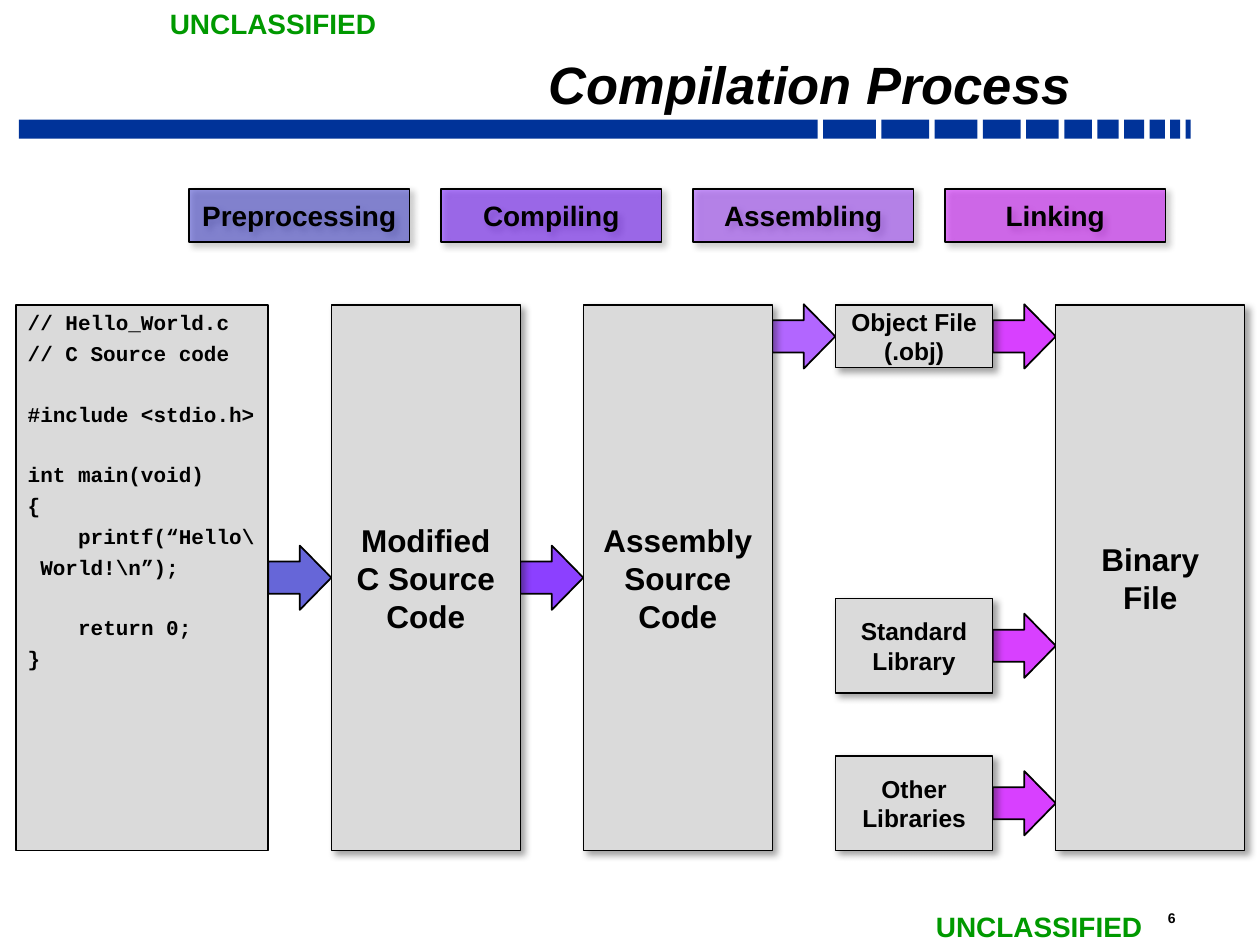
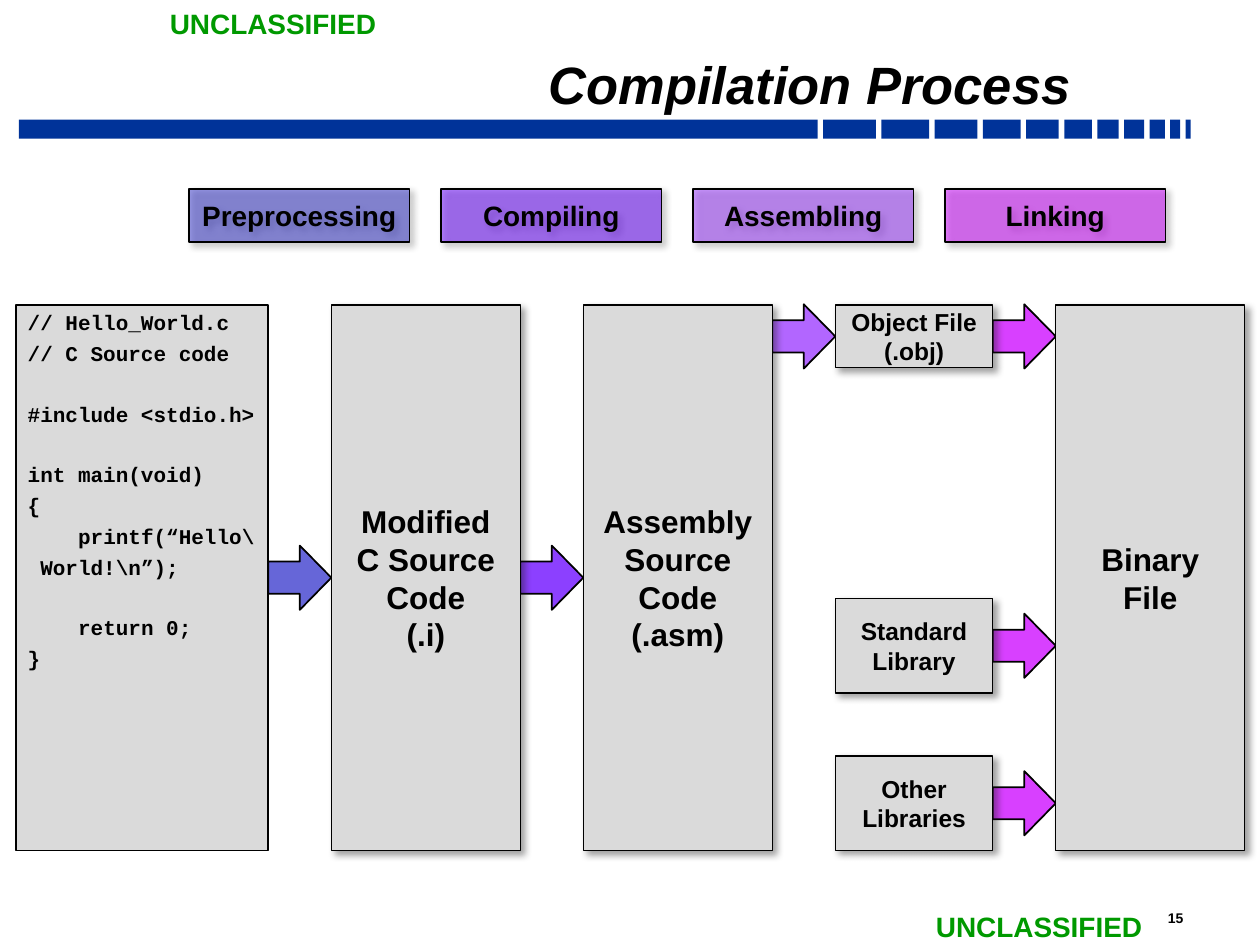
from lxml import etree
from pptx import Presentation
from pptx import util as u
from pptx.dml import color
from pptx.enum import shapes, text
from pptx.oxml import ns

PURPLES = {"Preprocessing": "3333CC", "Compiling": "6600FF",
           "Assembling": "9933FF", "Linking": "CC00FF"}
BLACK, GREY, BLUE, GREEN = "000000", "DADADA", "003399", "009900"
TITLE = "Compilation Process"
MARKING = "UNCLASSIFIED"
MARKING_PLACES = [(1.25, 0), (7.33, 7.17)]
BAND_LEFT, BAND_RIGHT, BAND_TOP, BAND_HEIGHT = 0.15, 9.45, 0.95, 0.15
BAND_WIDTHS = [6.34, 0.42, 0.38, 0.34, 0.3, 0.26, 0.22, 0.17, 0.16, 0.12, 0.08, 0.04]

TOP, TALL, GAP = 2.42, 4.33, 0.5
ARROW_HEIGHT = 0.51
LINE_SPACE = 3.25
CODE_SIZE, CODE_LINE, CODE_CHARACTER = 12, 13.6, 7.2
CODE_BOX = (0.13, TOP, 2, TALL)
CODE = [
    # (text, indent in characters, gap above in lines)
    ("// Hello_World.c", 0, 0),
    ("// C Source code", 0, 0),
    ("#include <stdio.h>", 0, 1),
    ("int main(void)", 0, 1),
    ("{", 0, 0),
    ("printf(\u201cHello\\", 4, 0),
    ("World!\\n\u201d);", 1, 0),
    ("return 0;", 4, 1),
    ("}", 0, 0),
]
BOXES = {
    "object": ((6.63, TOP, 1.25, 0.5), 14, ["Object File", "(.obj)"]),
    "binary": ((8.38, TOP, 1.5, TALL), 18, ["Binary", "File"]),
    "standard": ((6.63, 4.75, 1.25, 0.75), 14, ["Standard", "Library"]),
    "other": ((6.63, 6, 1.25, 0.75), 14, ["Other", "Libraries"]),
    "modified": ((2.63, TOP, 1.5, TALL), 18, ["Modified", "C Source", "Code"]),
    "assembly": ((4.63, TOP, 1.5, TALL), 18, ["Assembly", "Source", "Code"]),
}
ARROWS = [
    ("modified", "modified", "Preprocessing"),
    ("assembly", "assembly", "Compiling"),
    ("object", "object", "Assembling"),
    ("binary", "object", "Linking"),
    ("binary", "standard", "Linking"),
    ("binary", "other", "Linking"),
]
SLIDES = [
    {"number": "6", "extra": {}},
    {"number": "15", "extra": {"modified": ["(.i)"], "assembly": ["(.asm)"]}},
]


def rgb(value):
    return color.RGBColor.from_string(value)


def apply(target, formats):
    for name, value in formats.items():
        setattr(target, name, value)


def set_alpha(color_element, percent):
    etree.SubElement(color_element, ns.qn("a:alpha"), val=str(percent * 1000))


def add_shadow(shape):
    effects = shape._element.spPr.find(ns.qn("a:effectLst"))
    shadow = etree.SubElement(effects, ns.qn("a:outerShdw"), blurRad=str(u.Pt(4)),
                              dist=str(u.Pt(3)), dir=str(45 * 60000),
                              algn="tl", rotWithShape="0")
    set_alpha(etree.SubElement(shadow, ns.qn("a:srgbClr"), val="161616"), 40)


def add_box(slide, place, fill, alpha=100, line=None, shadow=False, kind="RECTANGLE"):
    shape = slide.shapes.add_shape(getattr(shapes.MSO_SHAPE, kind), *map(u.Inches, place))
    shape.shadow.inherit = False
    shape.fill.solid()
    shape.fill.fore_color.rgb = rgb(fill)
    if alpha < 100:
        set_alpha(shape._element.spPr.find(".//" + ns.qn("a:srgbClr")), alpha)
    if line:
        shape.line.color.rgb = rgb(BLACK)
        shape.line.width = u.Pt(line)
    else:
        shape.line.fill.background()
    if shadow:
        add_shadow(shape)
    return shape


def write(shape, lines, size, align="CENTER", anchor="MIDDLE", font="Arial",
          ink=BLACK, italic=False, wrap=True, margins=None):
    frame = shape.text_frame
    apply(frame, {"word_wrap": wrap,
                  "vertical_anchor": getattr(text.MSO_ANCHOR, anchor)})
    if margins:
        side, end = map(u.Inches, margins)
        apply(frame, {"margin_left": side, "margin_right": side,
                      "margin_top": end, "margin_bottom": end})
    frame.text = "\n".join(lines)
    for paragraph in frame.paragraphs:
        paragraph.alignment = getattr(text.PP_ALIGN, align)
        run_font = paragraph.runs[0].font
        apply(run_font, {"name": font, "size": u.Pt(size), "bold": True, "italic": italic})
        run_font.color.rgb = rgb(ink)
    return frame.paragraphs


def add_text(slide, place, words, size, **formats):
    shape = slide.shapes.add_textbox(*map(u.Inches, place))
    return write(shape, [words], size, **formats)


def add_frame(slide, number):
    gap = (BAND_RIGHT - BAND_LEFT - sum(BAND_WIDTHS)) / (len(BAND_WIDTHS) - 1)
    left = BAND_LEFT
    for width in BAND_WIDTHS:
        add_box(slide, (left, BAND_TOP, width, BAND_HEIGHT), BLUE)
        left += width + gap
    add_text(slide, (9.17, 7.17, 0.54, 0.23), number, 8, align="LEFT", anchor="TOP")
    for place in MARKING_PLACES:
        add_text(slide, (*place, 1.86, 0.37), MARKING, 16, align="LEFT",
                 anchor="TOP", ink=GREEN, wrap=False)
    title = add_text(slide, (1.67, 0.35, 6.92, 0.59), TITLE, 30, align="RIGHT",
                     anchor="BOTTOM", italic=True, margins=(0.09, 0.04))
    title[0].line_spacing = 0.7


def add_arrows(slide):
    for target, row, stage in ARROWS:
        left = BOXES[target][0][0] - GAP
        _, top, _, height = BOXES[row][0]
        place = (left, top + (height - ARROW_HEIGHT) / 2, GAP, ARROW_HEIGHT)
        add_box(slide, place, PURPLES[stage], alpha=75, line=1, kind="RIGHT_ARROW")


def add_code(slide):
    shape = add_box(slide, CODE_BOX, GREY, line=1)
    paragraphs = write(shape, [line for line, _, _ in CODE], CODE_SIZE, align="LEFT",
                       anchor="TOP", font="Courier New", margins=(0.09, 0.04))
    for paragraph, (_, indent, gap) in zip(paragraphs, CODE):
        paragraph.space_before = u.Pt(LINE_SPACE + gap * (CODE_LINE + LINE_SPACE))
        properties = paragraph._p.get_or_add_pPr()
        properties.set("marL", str(u.Pt(indent * CODE_CHARACTER)))
        properties.set("indent", "0")


def add_boxes(slide, extra):
    for name, (place, size, lines) in BOXES.items():
        shape = add_box(slide, place, GREY, line=0.75, shadow=True)
        write(shape, lines + extra.get(name, []), size)


def add_stages(slide):
    for column, (stage, fill) in enumerate(PURPLES.items()):
        place = (1.5 + 2 * column, 1.5, 1.75, 0.42)
        shape = add_box(slide, place, fill, alpha=50, line=0.75, shadow=True)
        write(shape, [stage], 16)


presentation = Presentation()
apply(presentation, {"slide_width": u.Inches(10), "slide_height": u.Inches(7.5)})
for content in SLIDES:
    slide = presentation.slides.add_slide(presentation.slide_layouts[6])
    add_frame(slide, content["number"])
    add_arrows(slide)
    add_code(slide)
    add_boxes(slide, content["extra"])
    add_stages(slide)
presentation.save("out.pptx")
